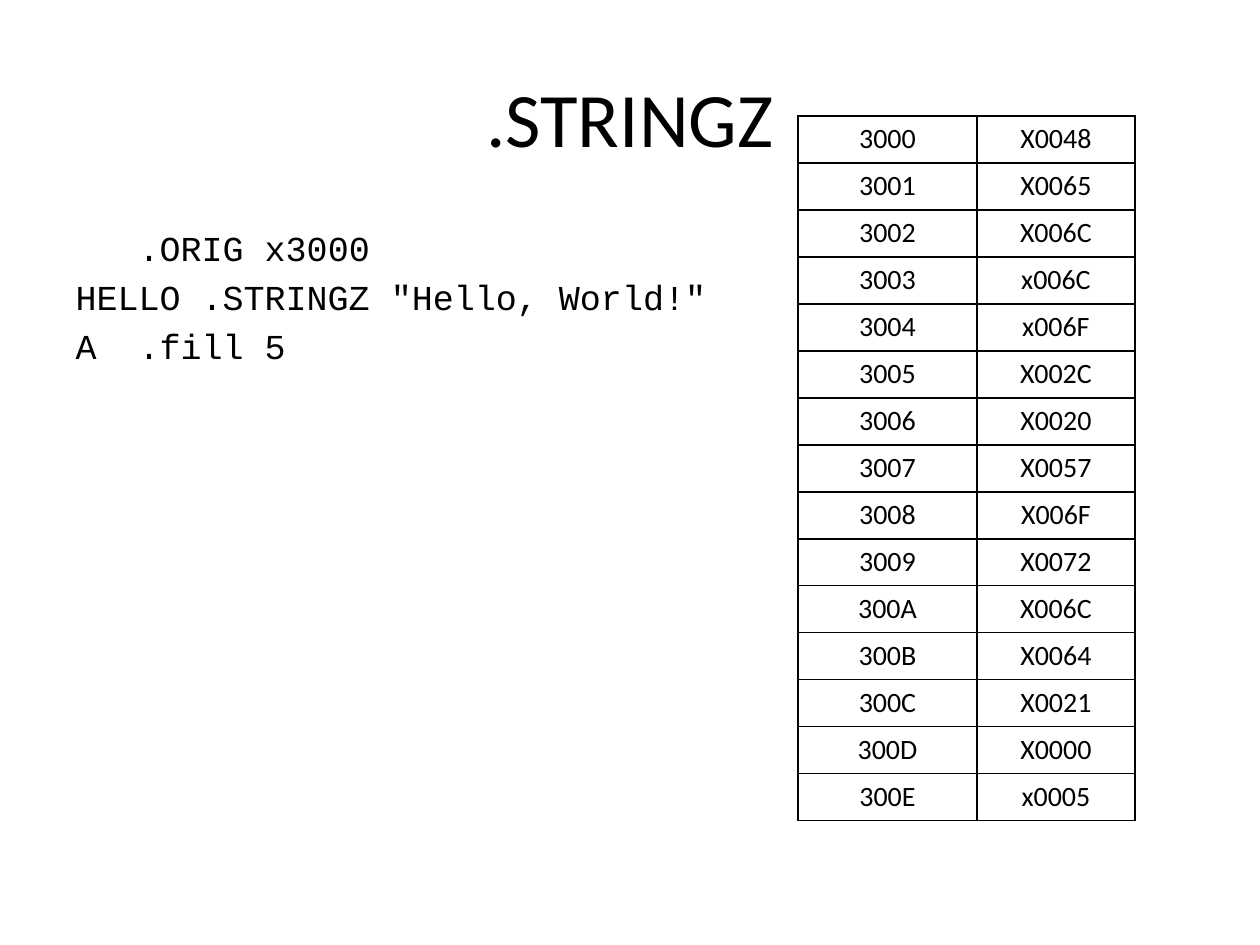
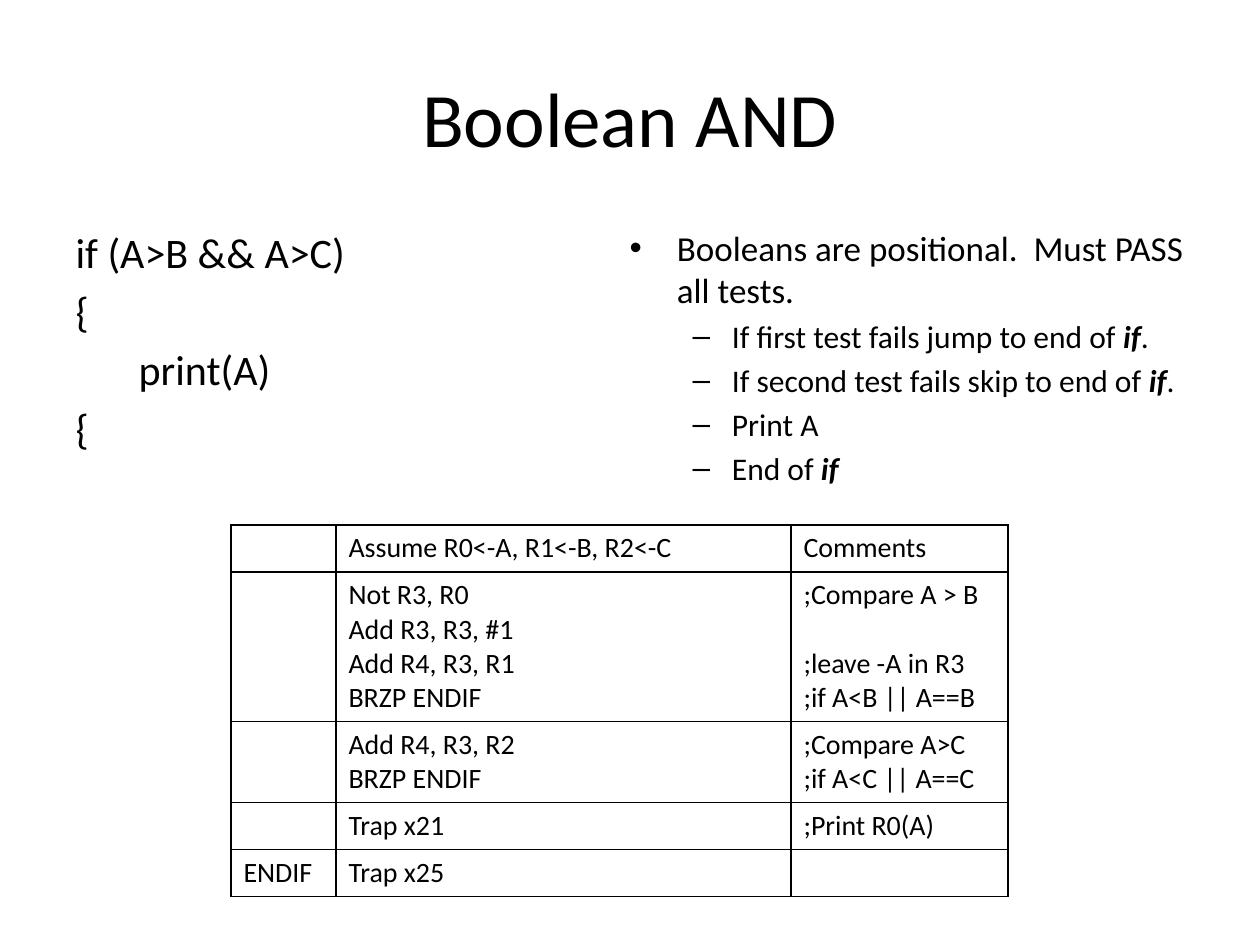
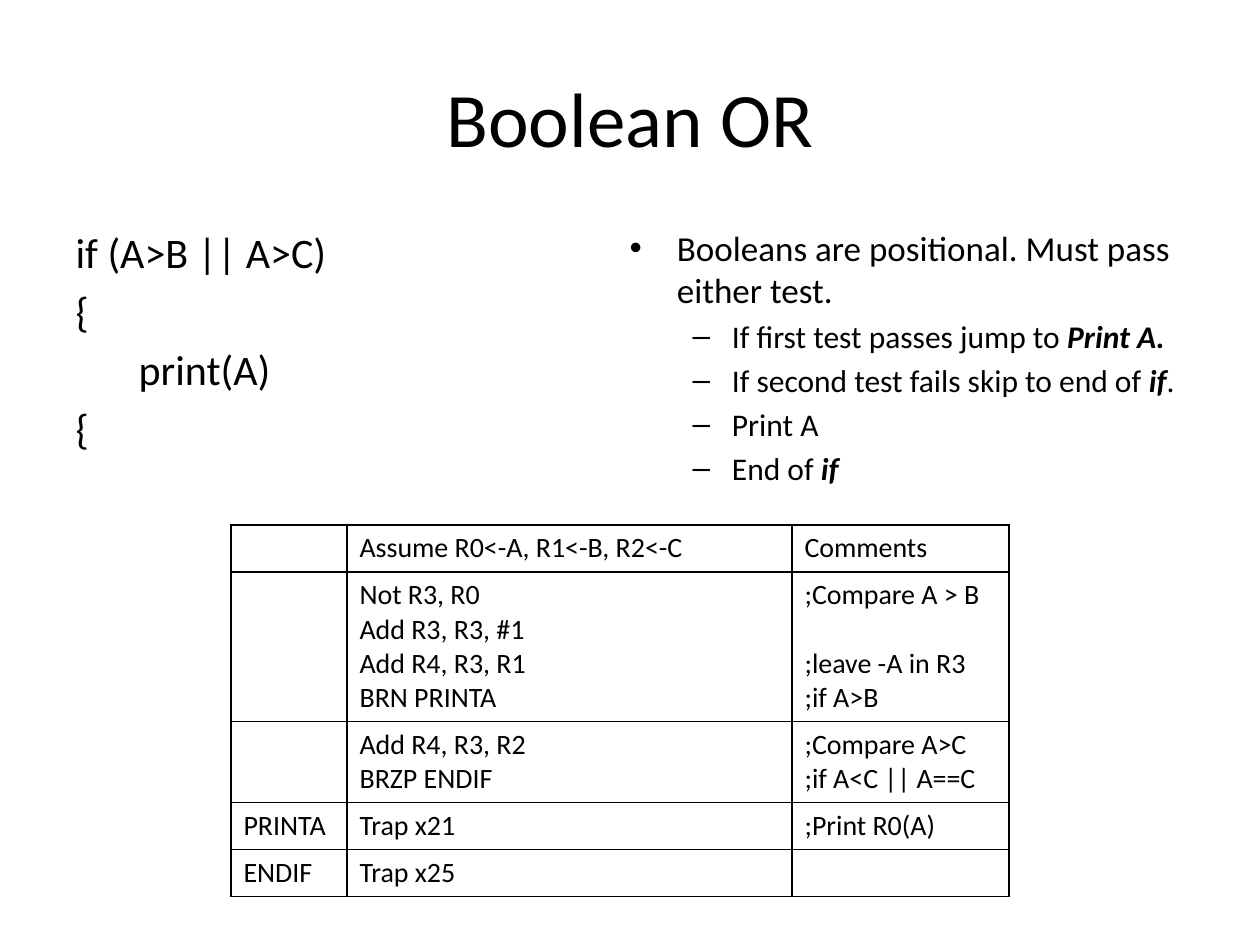
from lxml.etree import SubElement
from pptx import Presentation
from pptx.dml.color import RGBColor
from pptx.enum.text import MSO_AUTO_SIZE as AutoSize, MSO_ANCHOR as Anchor, PP_ALIGN as Align
from pptx.oxml.ns import qn
from pptx.util import Emu, Pt

# Shared look, lengths in pixels
PX = 914400 // 126
INK = "000000"
SANS, MONO = "Calibri", "Courier New"
TITLE_BOX = (63, 38, 1134, 157)
FULL_BOX = (63, 220, 1134, 624)
LEFT_BOX = (63, 220, 554, 624)
RIGHT_BOX = (617, 220, 581, 624)
CELL_SIZE, LINE_HEIGHT, CELL_PADDING = 16, 34, 13
BULLETS = [("\u2022", 20), ("\u2013", 18)]
TITLE_ONLY_BODY, TWO_BODIES = 1, 3
GAP = None  # one line left free inside a cell

# Content
MEMORY_CODE = ["\t.ORIG x3000", 'HELLO\t.STRINGZ "Hello, World!"', "A\t.fill 5"]
MEMORY_VALUES = ["X0048", "X0065", "X006C", "x006C", "x006F", "X002C", "X0020", "X0057",
                 "X006F", "X0072", "X006C", "X0064", "X0021", "X0000", "x0005"]
MEMORY_ROWS = [([f"{0x3000 + offset:X}"], [value])
               for offset, value in enumerate(MEMORY_VALUES)]

# In each bullet, every second piece is bold italic
BOOLEANS = [
    dict(title="Boolean AND", operator="&&", branch="BRZP ENDIF",
         branch_comment=";if A<B || A==B", print_label="", columns=(105, 455, 217),
         rule="Booleans are positional.  Must PASS all tests.",
         first_test=["If first test fails jump to end of ", "if", "."]),
    dict(title="Boolean OR", operator="||", branch="BRN PRINTA",
         branch_comment=";if A>B", print_label="PRINTA", columns=(116, 445, 217),
         rule="Booleans are positional. Must pass either test.",
         first_test=["If first test passes jump to ", "Print A."]),
]
LATER_STEPS = [["If second test fails skip to end of ", "if", "."],
               ["Print A"], ["End of ", "if"]]


def assembly_rows(case):
    return [
        ([""], ["Assume R0<-A, R1<-B, R2<-C"], ["Comments"]),
        ([""], ["Not R3, R0", "Add R3, R3, #1", "Add R4, R3, R1", case["branch"]],
         [";Compare A > B", GAP, ";leave -A in R3", case["branch_comment"]]),
        ([""], ["Add R4, R3, R2", "BRZP ENDIF"], [";Compare A>C", ";if A<C || A==C"]),
        ([case["print_label"]], ["Trap x21"], [";Print R0(A)"]),
        (["ENDIF"], ["Trap x25"], [""]),
    ]


# Helpers
def color(hex_text):
    return RGBColor.from_string(hex_text)


def set_font(paragraph, size, face=SANS):
    paragraph.font.size = Pt(size)
    paragraph.font.name = face
    paragraph.font.color.rgb = color(INK)


def place(shape, box):
    shape.left, shape.top, shape.width, shape.height = (Emu(v * PX) for v in box)
    shape.text_frame.auto_size = AutoSize.NONE
    return shape.text_frame


def paragraphs(frame, count):
    return [frame.paragraphs[0]] + [frame.add_paragraph() for _ in range(count - 1)]


def new_slide(title, layout):
    slide = deck.slides.add_slide(deck.slide_layouts[layout])
    frame = place(slide.shapes.title, TITLE_BOX)
    frame.vertical_anchor = Anchor.MIDDLE
    heading = frame.paragraphs[0]
    heading.text, heading.alignment = title, Align.CENTER
    set_font(heading, 44)
    return slide


def add_code(body, box, lines, size, face):
    frame = place(body, box)
    for paragraph, line in zip(paragraphs(frame, len(lines)), lines):
        paragraph.add_run().text = line
        set_font(paragraph, size, face)
        props = paragraph._p.get_or_add_pPr()
        props.set("marL", "0")
        props.set("indent", "0")
        props.insert_element_before(props.makeelement(qn("a:buNone"), {}), "a:defRPr")


def add_bullets(body, box, items):
    frame = place(body, box)
    for paragraph, (level, pieces) in zip(paragraphs(frame, len(items)), items):
        mark, size = BULLETS[level]
        paragraph.level = level
        set_font(paragraph, size)
        props = paragraph._p.get_or_add_pPr()
        props.insert_element_before(
            props.makeelement(qn("a:buChar"), {"char": mark}), "a:defRPr")
        for position, piece in enumerate(pieces):
            run = paragraph.add_run()
            run.text = piece
            if position % 2:
                run.font.bold = run.font.italic = True


def add_borders(cell):
    props = cell._tc.get_or_add_tcPr()
    for side in ("a:lnL", "a:lnR", "a:lnT", "a:lnB"):
        line = SubElement(props, qn(side), w=str(Pt(1)))
        fill = SubElement(line, qn("a:solidFill"))
        SubElement(fill, qn("a:srgbClr"), val=INK)


def fill_cell(cell, lines, alignment):
    add_borders(cell)
    cell.fill.background()
    texts = [line for line in lines if line is not GAP]
    follows_gap = [above is GAP for above, line in zip([""] + lines, lines)
                   if line is not GAP]
    for paragraph, text, gap in zip(paragraphs(cell.text_frame, len(texts)),
                                    texts, follows_gap):
        paragraph.alignment = alignment
        set_font(paragraph, CELL_SIZE)
        if gap:
            paragraph.space_before = Pt(19.5)
        if text:
            paragraph.add_run().text = text
        else:
            SubElement(paragraph._p, qn("a:endParaRPr"), sz=str(CELL_SIZE * 100))


def add_grid(slide, left, top, columns, rows, alignment):
    heights = [max(map(len, row)) * LINE_HEIGHT + CELL_PADDING for row in rows]
    box = (left, top, sum(columns), sum(heights))
    grid = slide.shapes.add_table(len(rows), len(columns),
                                  *(Emu(v * PX) for v in box)).table
    grid.first_row = grid.horz_banding = False
    for column, width in zip(grid.columns, columns):
        column.width = Emu(width * PX)
    for r, (row, height) in enumerate(zip(rows, heights)):
        grid.rows[r].height = Emu(height * PX)
        for c, lines in enumerate(row):
            fill_cell(grid.cell(r, c), lines, alignment)


deck = Presentation()
deck.slide_width, deck.slide_height = Emu(1260 * PX), Emu(945 * PX)

# String in memory
slide = new_slide(".STRINGZ", TITLE_ONLY_BODY)
add_code(slide.placeholders[1], FULL_BOX, MEMORY_CODE, 20, MONO)
add_grid(slide, 798, 116, (179, 158), MEMORY_ROWS, Align.CENTER)

# Boolean tests
for case in BOOLEANS:
    slide = new_slide(case["title"], TWO_BODIES)
    source_code = [f"if (A>B {case['operator']} A>C)", "{", "\tprint(A)", "{"]
    add_code(slide.placeholders[1], LEFT_BOX, source_code, 24, SANS)
    steps = [(1, pieces) for pieces in [case["first_test"]] + LATER_STEPS]
    add_bullets(slide.placeholders[2], RIGHT_BOX, [(0, [case["rule"]])] + steps)
    add_grid(slide, 231, 525, case["columns"], assembly_rows(case), Align.LEFT)

deck.save("out.pptx")
